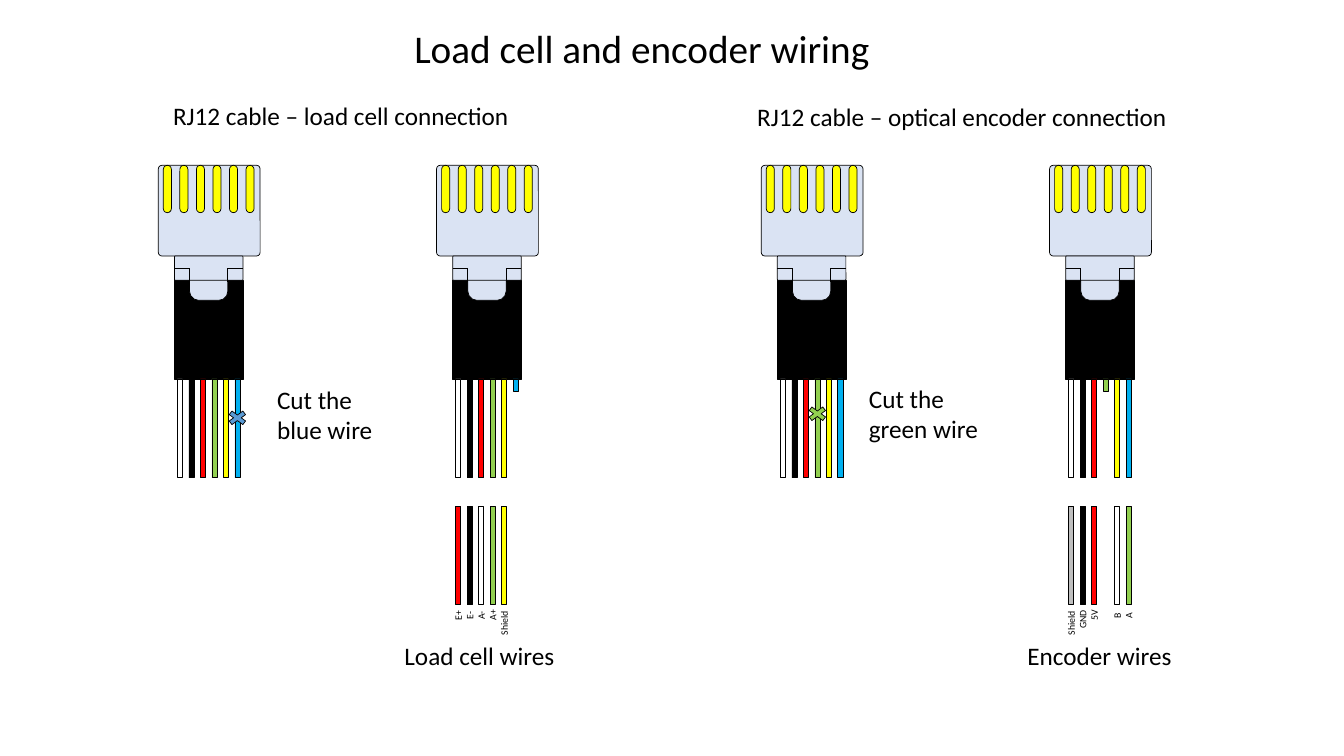
from lxml.etree import SubElement
from pptx import Presentation
from pptx.dml.color import RGBColor
from pptx.enum.shapes import MSO_CONNECTOR, MSO_SHAPE
from pptx.enum.text import MSO_AUTO_SIZE, PP_ALIGN
from pptx.oxml.ns import qn
from pptx.util import Inches, Pt

BLACK, WHITE, RED, GREEN = "000000", "FFFFFF", "FF0000", "92D050"
YELLOW, BLUE, GREY, PLASTIC = "FFFF00", "00B0F0", "BFBFBF", "DAE3F3"
CABLE_COLOURS = [WHITE, BLACK, RED, GREEN, YELLOW, BLUE]

# Boxes are left, top, width, height in inches
CAPTIONS = [
    ("Load cell and encoder wiring", (3.07, 0.19, 6.59, 0.57), 28, PP_ALIGN.CENTER),
    ("RJ12 cable – load cell connection", (1.27, 0.95, 4.22, 0.4), 18, PP_ALIGN.CENTER),
    ("RJ12 cable – optical encoder connection", (7.02, 0.96, 5.04, 0.4), 18, PP_ALIGN.CENTER),
    ("Cut the blue wire", (2.65, 3.76, 1.26, 0.71), 18, PP_ALIGN.LEFT),
    ("Cut the green wire", (8.52, 3.75, 1.43, 0.71), 18, PP_ALIGN.LEFT),
    ("Load cell wires", (3.78, 6.3, 1.95, 0.4), 18, PP_ALIGN.CENTER),
    ("Encoder wires", (9.93, 6.3, 1.95, 0.4), 18, PP_ALIGN.CENTER),
]

# Device wires stand below the cable wire with the same index
CONNECTIONS = [
    dict(uncut_left=1.73, trimmed_left=4.49, cut=5, cross_top=4.05, cross_colour="5B9BD5",
         device={0: ("E+", RED), 1: ("E-", BLACK), 2: ("A-", WHITE),
                 3: ("A+", GREEN), 4: ("Shield", YELLOW)}),
    dict(uncut_left=7.71, trimmed_left=10.57, cut=3, cross_top=4.01, cross_colour=GREEN,
         device={0: ("Shield", GREY), 1: ("GND", BLACK), 2: ("5V", RED),
                 4: ("B", WHITE), 5: ("A", GREEN)}),
]

WIRE_WIDTH, WIRE_LENGTH, STUB_LENGTH = 0.05, 0.98, 0.12
CABLE_TOP, DEVICE_TOP = 3.76, 5.02
WIRE_PITCH, CONTACT_PITCH = 0.57 / 5, 0.82 / 5
LABEL_TOP, LABEL_HEIGHT = 5.93, 0.22
LABEL_LENGTHS = {"Shield": 0.5, "GND": 0.43}
SHORT_LABEL = 0.35

deck = Presentation()
deck.slide_width, deck.slide_height = Inches(13.33), Inches(7.5)
slide = deck.slides.add_slide(deck.slide_layouts[6])


def colour(hex_code):
    return RGBColor.from_string(hex_code)


def add_part(box, fill, corner=0.0, kind=MSO_SHAPE.ROUNDED_RECTANGLE):
    part = slide.shapes.add_shape(kind, *map(Inches, box))
    part.shadow.inherit = False
    part.fill.solid()
    part.fill.fore_color.rgb = colour(fill)
    part.line.color.rgb = colour(BLACK)
    part.line.width = Pt(0.5)
    if kind == MSO_SHAPE.ROUNDED_RECTANGLE:
        part.adjustments[0] = corner


def add_line(*ends):
    line = slide.shapes.add_connector(MSO_CONNECTOR.STRAIGHT, *map(Inches, ends))
    line.line.color.rgb = colour(BLACK)
    line.line.width = Pt(0.5)
    SubElement(line._element.spPr, qn("a:effectLst"))


def add_text(text, box, size=18, align=PP_ALIGN.CENTER, rotation=0):
    holder = slide.shapes.add_textbox(*map(Inches, box))
    holder.rotation = rotation
    frame = holder.text_frame
    frame.word_wrap = True
    frame.auto_size = MSO_AUTO_SIZE.SHAPE_TO_FIT_TEXT
    paragraph = frame.paragraphs[0]
    paragraph.text = text
    paragraph.alignment = align
    font = paragraph.font
    font.name, font.size, font.color.rgb = "Calibri", Pt(size), colour(BLACK)


def wire_left(left, index):
    return left + 0.03 + index * WIRE_PITCH


def wire_centre(left, index):
    return wire_left(left, index) + WIRE_WIDTH / 2


def add_wire(left, index, top, fill, length=WIRE_LENGTH):
    add_part((wire_left(left, index), top, WIRE_WIDTH, length), fill)


def add_plug(left):
    """Draw sleeve, latch, body, contacts and neck; left is the sleeve's edge."""
    add_part((left, 2.78, 0.68, 0.98), BLACK)
    add_part((left + 0.15, 2.45, 0.38, 0.53), PLASTIC, 0.24)
    add_part((left - 0.16, 1.64, 1.01, 0.9), PLASTIC, 0.04)
    for index in range(len(CABLE_COLOURS)):
        add_part((left - 0.11 + index * CONTACT_PITCH, 1.64, 0.08, 0.47), YELLOW, 0.5)
    add_part((left, 2.54, 0.68, 0.24), PLASTIC, 0.04)
    for outer, inner in [(left, left + 0.15), (left + 0.68, left + 0.53)]:
        add_line(outer, 2.66, inner, 2.66)
        add_line(inner, 2.66, inner, 2.8)


def add_cable(left, cut=None):
    add_plug(left)
    for index, fill in enumerate(CABLE_COLOURS):
        add_wire(left, index, CABLE_TOP, fill, STUB_LENGTH if index == cut else WIRE_LENGTH)


def add_device_wires(left, wires):
    for index, (label, fill) in wires.items():
        add_wire(left, index, DEVICE_TOP, fill)
        length = LABEL_LENGTHS.get(label, SHORT_LABEL)
        # The box turns about its centre, so its length becomes its height
        label_left = wire_centre(left, index) - length / 2
        label_top = LABEL_TOP + (length - LABEL_HEIGHT) / 2
        add_text(label, (label_left, label_top, length, LABEL_HEIGHT), size=7, rotation=270)


for connection in CONNECTIONS:
    uncut, trimmed, cut = (connection[key] for key in ("uncut_left", "trimmed_left", "cut"))
    add_cable(uncut)
    add_part((wire_centre(uncut, cut) - 0.13, connection["cross_top"], 0.26, 0.19),
             connection["cross_colour"], kind=MSO_SHAPE.MATH_MULTIPLY)
    add_cable(trimmed, cut)
    add_device_wires(trimmed, connection["device"])

for caption, box, size, align in CAPTIONS:
    add_text(caption, box, size=size, align=align)

deck.save("out.pptx")
